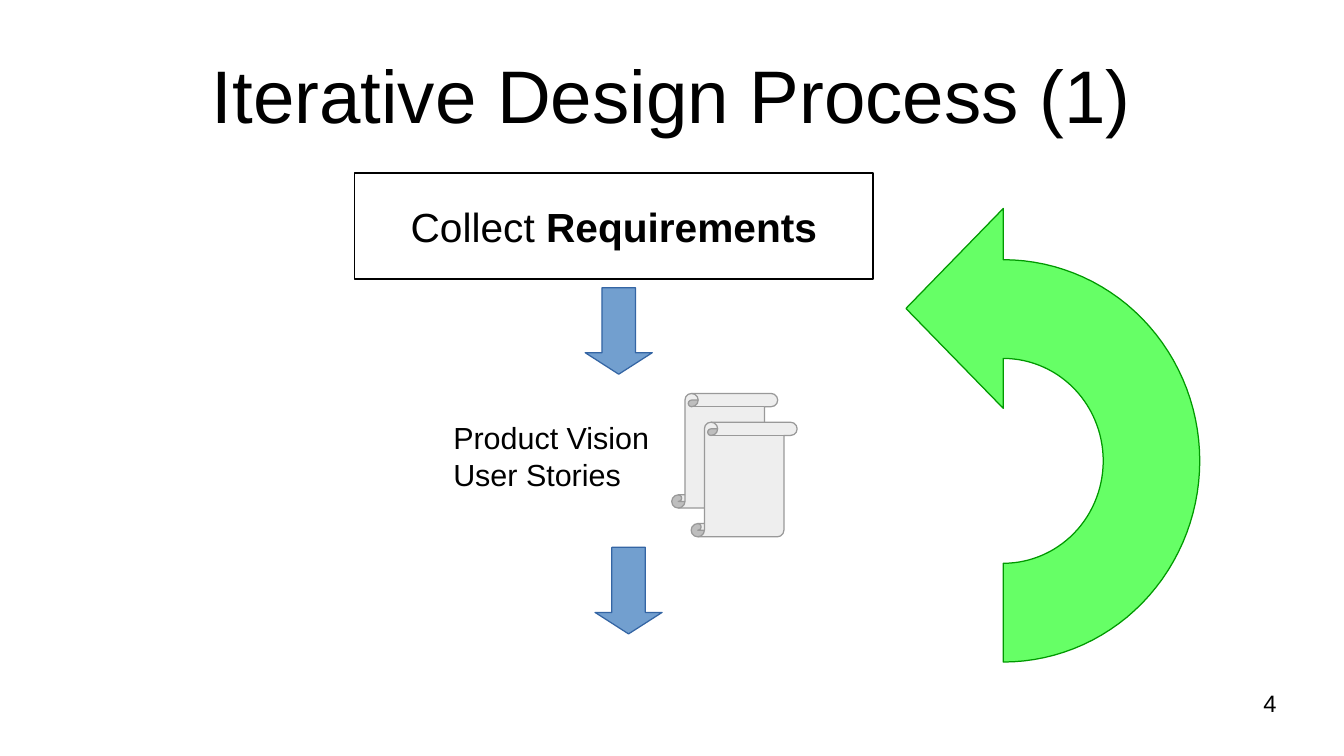
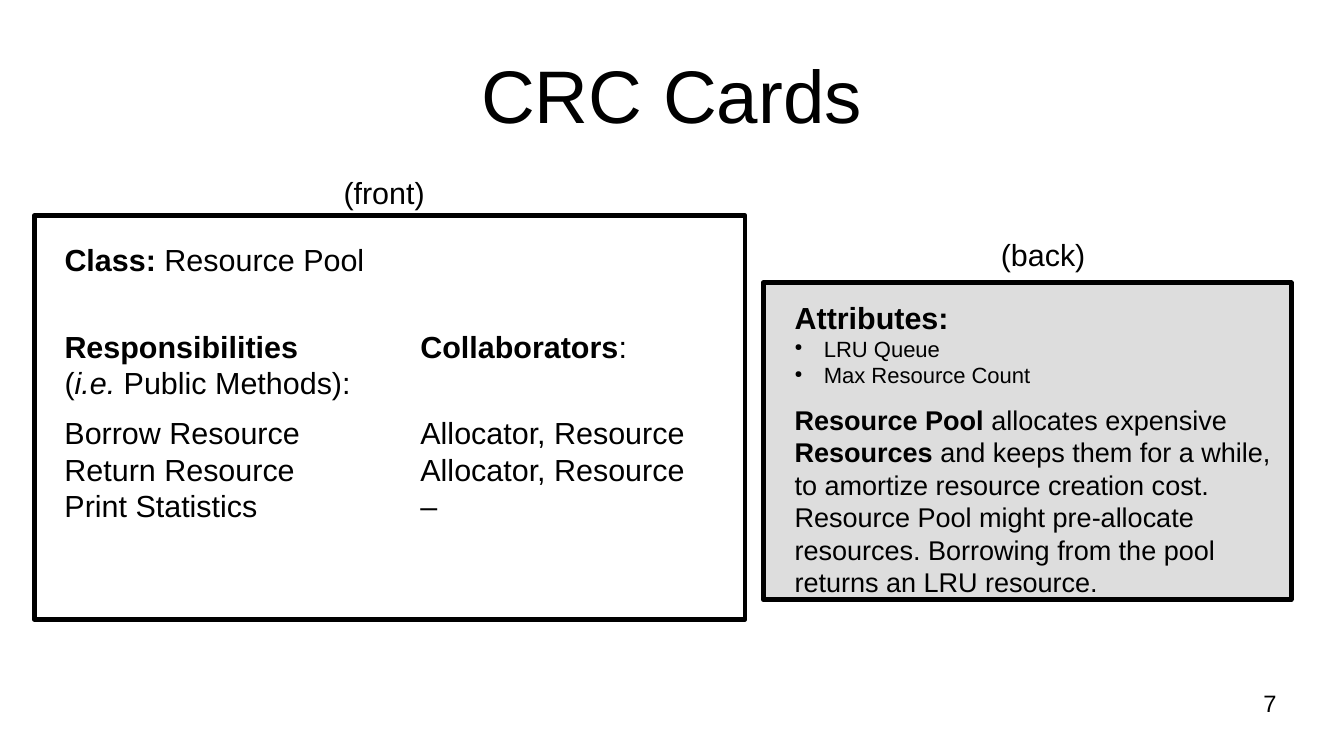
from dataclasses import dataclass
from math import cos, radians, sin

from lxml.etree import SubElement
from pptx import Presentation
from pptx.dml.color import RGBColor
from pptx.enum.shapes import MSO_SHAPE as Shape
from pptx.enum.text import MSO_ANCHOR as Anchor, PP_ALIGN as Align
from pptx.oxml.ns import qn
from pptx.util import Pt


@dataclass(frozen=True)
class Theme:
    font: str = "Arial"
    ink: str = "000000"
    paper: str = "FFFFFF"
    card_back: str = "DDDDDD"
    scroll: tuple = ("EEEEEE", "999999")
    step: tuple = ("729FCF", "3465A4")
    loop: tuple = ("66FF66", "009900")
    title: int = 44
    heading: int = 24
    body: int = 18
    prose: int = 16
    small: int = 14
    item: int = 13
    hairline: float = 0
    border: float = 2.83


THEME = Theme()
TITLE_ONLY = 5


class Deck:
    """Holds the presentation, its style and the current slide."""

    def __init__(self, theme):
        self.theme = theme
        self.deck = Presentation()
        self.deck.slide_width, self.deck.slide_height = Pt(793.7), Pt(446.5)
        self.page = None

    def slide(self, title, number):
        self.page = self.deck.slides.add_slide(self.deck.slide_layouts[TITLE_ONLY])
        box = self.page.shapes.title
        box.left, box.top, box.width, box.height = map(Pt, (39.6, 18, 714.3, 74.9))
        self.set_text(box, [title], self.theme.title, Align.CENTER, Anchor.MIDDLE, (0, 0))
        self.text((568.8, 406.8, 185.1, 31), [number], self.theme.small,
                  Align.RIGHT, insets=(0, 0))

    def set_text(self, box, lines, size, align=Align.LEFT, anchor=Anchor.TOP,
                 insets=(7.2, 3.6)):
        """Each line is a string or a list of (text, style) spans, style b or i."""
        frame = box.text_frame
        frame.word_wrap = True
        frame.vertical_anchor = anchor
        frame.margin_left = frame.margin_right = Pt(insets[0])
        frame.margin_top = frame.margin_bottom = Pt(insets[1])
        for index, line in enumerate(lines):
            para = frame.add_paragraph() if index else frame.paragraphs[0]
            self.fill_para(para, line, size, align)

    def fill_para(self, para, line, size, align=Align.LEFT):
        para.alignment = align
        para.font.name = self.theme.font
        para.font.size = Pt(size)
        para.font.color.rgb = RGBColor.from_string(self.theme.ink)
        for text, style in [(line, "")] if isinstance(line, str) else line:
            span = para.add_run()
            span.text = text
            if style == "b":
                span.font.bold = True
            elif style == "i":
                span.font.italic = True

    def text(self, place, lines, size=THEME.body, align=Align.LEFT, **layout):
        box = self.page.shapes.add_textbox(*map(Pt, place))
        self.set_text(box, lines, size, align, **layout)
        return box

    def bullets(self, box, items, size):
        for item in items:
            para = box.text_frame.add_paragraph()
            props = para._p.get_or_add_pPr()
            props.set("marL", str(Pt(17.3)))
            props.set("indent", str(-Pt(17.3)))
            color = SubElement(props, qn("a:buClr"))
            SubElement(color, qn("a:srgbClr"), val=self.theme.ink)
            SubElement(props, qn("a:buSzPct"), val="45000")
            SubElement(props, qn("a:buChar"), char="●")
            self.fill_para(para, item, size)

    def paint(self, shape, fill, line, width=THEME.hairline):
        shape.shadow.inherit = False
        shape.fill.solid()
        shape.fill.fore_color.rgb = RGBColor.from_string(fill)
        shape.line.color.rgb = RGBColor.from_string(line)
        shape.line.width = Pt(width)

    def shape(self, kind, place, fill, line, width=THEME.hairline, adjust=()):
        shape = self.page.shapes.add_shape(kind, *map(Pt, place))
        self.paint(shape, fill, line, width)
        for index, value in enumerate(adjust):
            shape.adjustments[index] = value
        return shape

    def outline(self, points, fill, line):
        start, *rest = [(Pt(x), Pt(y)) for x, y in points]
        builder = self.page.shapes.build_freeform(*start, scale=1.0)
        builder.add_line_segments(rest, close=True)
        self.paint(builder.convert_to_shape(), fill, line)


def half_ring(center, radii, angles):
    """Points on the right half of an ellipse, by angle in degrees."""
    (x, y), (rx, ry) = center, radii
    return [(x + rx * cos(radians(a)), y + ry * sin(radians(a))) for a in angles]


def process_slide(deck):
    theme = deck.theme
    deck.slide("Iterative Design Process (1)", "4")

    # First step and its results
    step = deck.shape(Shape.RECTANGLE, (209.5, 102.2, 306, 62.6), theme.paper, theme.ink)
    deck.set_text(step, [[("Collect ", ""), ("Requirements", "b")]],
                  theme.heading, Align.CENTER, Anchor.MIDDLE)
    for left, top in ((396.7, 232.4), (408.2, 249.4)):
        deck.shape(Shape.VERTICAL_SCROLL, (left, top, 62.6, 67.7), *theme.scroll,
                   adjust=(0.125,))
    deck.text((260.6, 244.1, 136.1, 51.1), ["Product Vision", "User Stories"])

    # Arrows between steps
    for left, top in ((345.6, 169.9), (351.4, 323.3)):
        deck.shape(Shape.DOWN_ARROW, (left, top, 39.6, 51.1), *theme.step,
                   adjust=(0.5, 0.32))

    # Loop back to the start
    center = (592.5, 272.2)
    inner = half_ring(center, (59, 60.5), range(-90, 91, 3))
    outer = half_ring(center, (116, 118.8), range(90, -91, -3))
    head = [(592.5, 123.1), (535, 182.2), (592.5, 241.2)]
    deck.outline(inner + outer + head, *theme.loop)


def cards_slide(deck):
    theme = deck.theme
    deck.slide("CRC Cards", "7")

    # Front card
    duties_left, partners_left = 31, 241.2
    heads_top, lists_top = 190.1, 241.2
    deck.shape(Shape.RECTANGLE, (20.2, 127.4, 419.8, 238.3), theme.paper, theme.ink,
               theme.border)
    deck.text((duties_left, 139, 396.7, 27.4), [[("Class: ", "b"), ("Resource Pool", "")]])
    deck.text((duties_left, heads_top, 193, 47.5),
              [[("Responsibilities", "b")],
               [("(", ""), ("i.e.", "i"), (" Public Methods):", "")]])
    deck.text((partners_left, heads_top, 187.2, 27.4), [[("Collaborators", "b"), (":", "")]])
    deck.text((duties_left, lists_top, 198.7, 67.7),
              ["Borrow Resource", "Return Resource", "Print Statistics"])
    deck.text((partners_left, lists_top, 193, 67.7), ["Allocator, Resource"] * 2 + ["–"])

    # Back card
    back_left = 462.2
    deck.shape(Shape.RECTANGLE, (450.7, 167, 311.8, 187.2), theme.card_back, theme.ink,
               theme.border)
    deck.text((back_left, 234.7, 311.8, 113.8),
              [[("Resource Pool", "b"), (" allocates expensive ", ""), ("Resources", "b"),
                (" and keeps them for a while, to amortize resource creation cost. "
                 "Resource Pool might pre-allocate resources. "
                 "Borrowing from the pool returns an LRU resource.", "")]], theme.prose)
    attributes = deck.text((back_left, 172.8, 164.2, 56.2), [[("Attributes:", "b")]])
    deck.bullets(attributes, ["LRU Queue", "Max Resource Count"], theme.item)

    # Card captions
    for left, top, caption in ((195.8, 99.4, "(front)"), (583.9, 136.1, "(back)")):
        deck.text((left, top, 73.4, 27.4), [caption])


def main():
    deck = Deck(THEME)
    process_slide(deck)
    cards_slide(deck)
    deck.deck.save("out.pptx")


if __name__ == "__main__":
    main()
